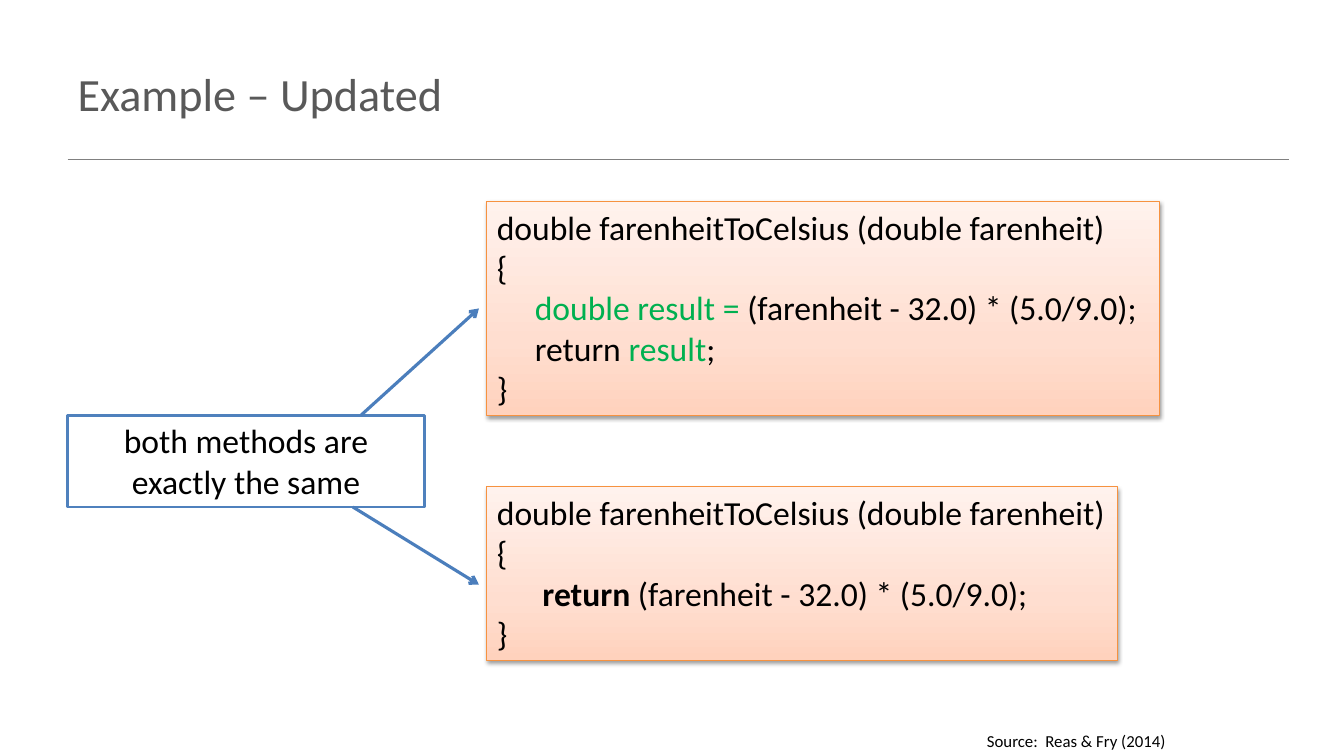
from copy import deepcopy

from lxml import etree
from pptx import Presentation
from pptx.dml.color import RGBColor
from pptx.enum.shapes import MSO_CONNECTOR, MSO_SHAPE
from pptx.enum.text import MSO_ANCHOR, MSO_AUTO_SIZE, PP_ALIGN
from pptx.oxml.ns import qn
from pptx.util import Inches, Pt

RECT = MSO_SHAPE.RECTANGLE
STRAIGHT = MSO_CONNECTOR.STRAIGHT
TOP, MIDDLE = MSO_ANCHOR.TOP, MSO_ANCHOR.MIDDLE
GROW, FIXED = MSO_AUTO_SIZE.SHAPE_TO_FIT_TEXT, MSO_AUTO_SIZE.NONE
LEFT, CENTER, RIGHT = PP_ALIGN.LEFT, PP_ALIGN.CENTER, PP_ALIGN.RIGHT

COLORS = {
    "black": "000000",
    "white": "FFFFFF",
    "title": "595959",
    "rule": "808080",
    "green": "00B050",
    "note": "4F81BD",
    "arrow": "4B7EBC",
    "edge": "F69240",
}
PEACH = [(0, "FFD2BD"), (0.35, "FFDED0"), (1, "FFF2ED")]
HEAD = "double farenheitToCelsius (double farenheit)"
SUM = "(farenheit - 32.0) * (5.0/9.0);"
LONG = [
    [(HEAD, {})],
    [("{", {})],
    [("     ", {}), ("double result = ", {"color": "green"}), (SUM, {})],
    [("     return ", {}), ("result", {"color": "green"}), (";", {})],
    [("}", {})],
]
SHORT = [
    [(HEAD, {})],
    [("{", {})],
    [("      ", {}), ("return", {"bold": True}), (" " + SUM, {})],
    [("}", {})],
]


def color(name):
    return RGBColor.from_string(COLORS[name])


def write(shape, lines, size, align=LEFT, anchor=TOP, fit=GROW, ink="black"):
    frame = shape.text_frame
    form = {"word_wrap": True, "auto_size": fit, "vertical_anchor": anchor}
    for key, value in form.items():
        setattr(frame, key, value)
    for i, line in enumerate(lines):
        para = frame.add_paragraph() if i else frame.paragraphs[0]
        para.alignment = align
        for text, style in line:
            run = para.add_run()
            run.text = text
            look = {"name": "Calibri", "size": Pt(size), "bold": style.get("bold", False)}
            for key, value in look.items():
                setattr(run.font, key, value)
            run.font.color.rgb = color(style.get("color", ink))


def add_box(slide, box, edge, width):
    shape = slide.shapes.add_shape(RECT, *map(Inches, box))
    shape.line.color.rgb = color(edge)
    shape.line.width = Pt(width)
    shape.shadow.inherit = False
    return shape


def add_line(slide, start, end, ink, width, arrow=False):
    line = slide.shapes.add_connector(STRAIGHT, *map(Inches, start + end))
    line.line.color.rgb = color(ink)
    line.line.width = Pt(width)
    if arrow:
        etree.SubElement(line.line._get_or_add_ln(), qn("a:tailEnd"), type="arrow")
    etree.SubElement(line._element.spPr, qn("a:effectLst"))


def add_title(slide, box):
    left, top, width, height = box
    title = slide.shapes.title
    place = {"left": left, "top": top, "width": width, "height": height}
    for key, value in place.items():
        setattr(title, key, Inches(value))
    write(title, [[("Example – Updated", {})]], 33, anchor=MIDDLE, fit=FIXED, ink="title")
    base = top + height + 0.03
    add_line(slide, (left, base), (left + 12.11, base), "rule", 1)


def add_code(slide, box, lines):
    shape = add_box(slide, box, "edge", 0.75)
    fill = shape.fill
    fill.gradient()
    fill.gradient_angle = 90
    stops = shape._element.spPr.find(".//" + qn("a:gsLst"))
    stops.append(deepcopy(stops[0]))
    for stop, (place, ink) in zip(fill.gradient_stops, PEACH):
        stop.position = place
        stop.color.rgb = RGBColor.from_string(ink)
    glow = shape._element.spPr.find(qn("a:effectLst"))
    shade = etree.SubElement(glow, qn("a:outerShdw"), blurRad="40000",
                             dist="20000", dir="5400000", rotWithShape="0")
    tone = etree.SubElement(shade, qn("a:srgbClr"), val=COLORS["black"])
    etree.SubElement(tone, qn("a:alpha"), val="38000")
    write(shape, lines, 24)


def add_note(slide, box):
    left, top, width, height = box
    shape = add_box(slide, box, "note", 2)
    shape.fill.solid()
    shape.fill.fore_color.rgb = color("white")
    write(shape, [[("both methods are exactly the same", {})]], 24, CENTER)
    tip = left + 4.08
    add_line(slide, (left + 2.83, top + height), (tip, top + 1.68), "arrow", 2.25, True)
    add_line(slide, (left + 2.91, top), (tip, top - 1.06), "arrow", 2.25, True)


def add_source(slide, box):
    shape = slide.shapes.add_textbox(*map(Inches, box))
    write(shape, [[("Source:  Reas & Fry (2014)", {})]], 12, RIGHT)


def main():
    deck = Presentation()
    deck.slide_width, deck.slide_height = Inches(13.33), Inches(7.5)
    slide = deck.slides.add_slide(deck.slide_layouts[5])
    add_title(slide, (0.67, 0.3, 12, 1.25))
    add_code(slide, (4.83, 4.83, 6.25, 1.72), SHORT)
    add_note(slide, (0.67, 4.12, 3.54, 0.91))
    add_code(slide, (4.83, 2, 6.67, 2.12), LONG)
    add_source(slide, (5.58, 7.2, 6.08, 0.3))
    deck.save("out.pptx")


if __name__ == "__main__":
    main()
